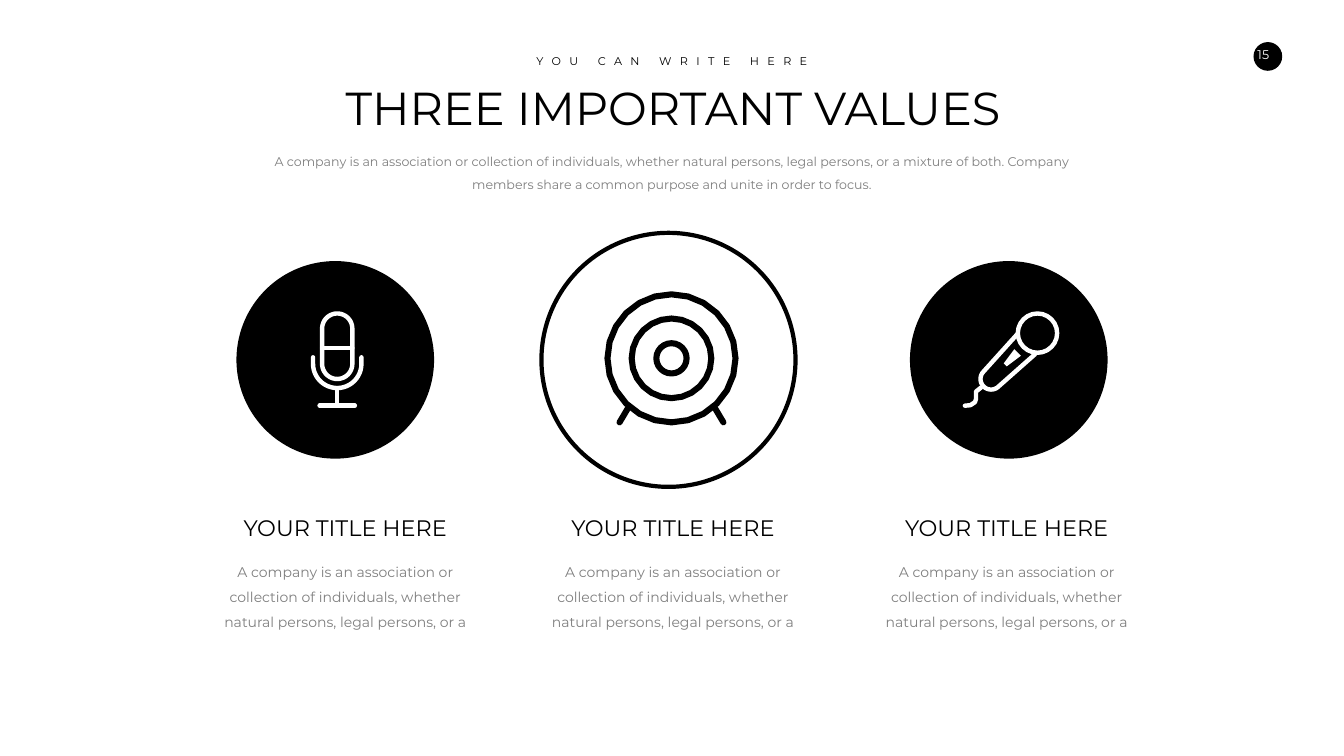
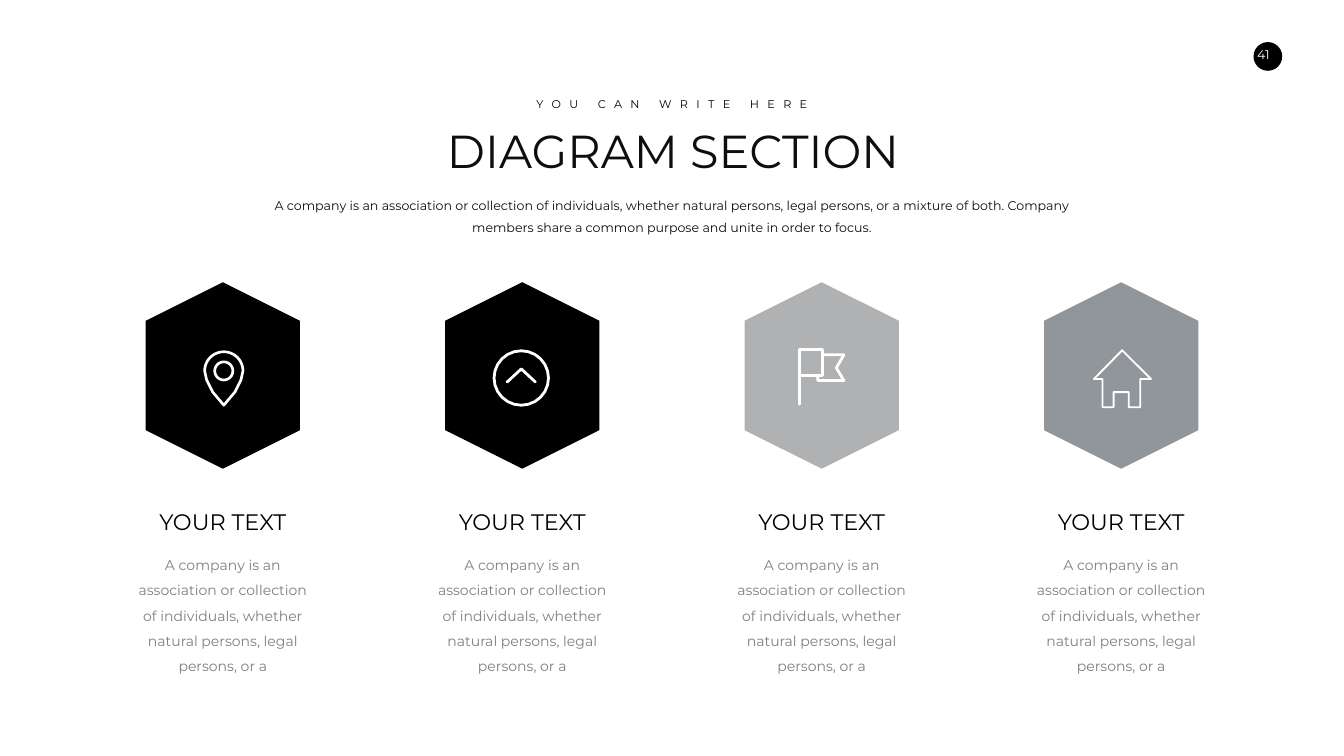
from math import cos, radians, sin

from lxml import etree
from pptx import Presentation
from pptx.dml.color import RGBColor
from pptx.enum.shapes import MSO_SHAPE
from pptx.enum.text import PP_ALIGN
from pptx.oxml.ns import qn
from pptx.util import Inches, Pt

OVAL, HEX = MSO_SHAPE.OVAL, MSO_SHAPE.HEXAGON
CENTER = PP_ALIGN.CENTER

# Slide grid: one column and one row are an inch each
COLS, ROWS = 26.66, 15
MID = COLS / 2
FONT = "Montserrat"
COLORS = {
    "black": "000000", "ink": "0E0E0E", "gray": "7F7F7F", "white": "FFFFFF",
    "silver": "B0B1B3", "steel": "91969B",
}
SHORT = ("A company is an association or collection of individuals, whether "
         "natural persons, legal persons, or a")
LONG = (SHORT + " mixture of both. Company members share a common purpose "
        "and unite in order to focus.")


def rgb(name):
    return RGBColor.from_string(COLORS[name])


def paint(shape, fill=None, line=None, width=0):
    shape.shadow.inherit = False
    if fill:
        shape.fill.solid()
        shape.fill.fore_color.rgb = rgb(fill)
    else:
        shape.fill.background()
    if line:
        shape.line.color.rgb = rgb(line)
        shape.line.width = Pt(width)
    else:
        shape.line.fill.background()


def add_text(slide, text, mid, top, wide, high, size, color,
             lead=None, track=0, inset=(0.1, 0.05)):
    """Text box centred on the column position mid."""
    box = slide.shapes.add_textbox(Inches(mid - wide / 2), Inches(top),
                                   Inches(wide), Inches(high))
    frame = box.text_frame
    frame.word_wrap = True
    frame.margin_left = frame.margin_right = Inches(inset[0])
    frame.margin_top = frame.margin_bottom = Inches(inset[1])
    para = frame.paragraphs[0]
    run = para.add_run()
    run.text = text
    para.alignment = CENTER
    if lead:
        para.line_spacing = lead
    para.font.name = FONT
    para.font.size = Pt(size)
    para.font.color.rgb = rgb(color)
    if track:
        run._r.get_or_add_rPr().set("spc", str(track * 100))


def add_form(slide, kind, mid, row, wide, high, **look):
    """Preset shape centred on (mid, row)."""
    shape = slide.shapes.add_shape(
        kind, Inches(mid - wide / 2), Inches(row - high / 2),
        Inches(wide), Inches(high))
    paint(shape, **look)
    return shape


def add_hex(slide, mid, row, fill):
    shape = add_form(slide, HEX, mid, row, 3.7, 3.06, fill=fill)
    shape.adjustments[0] = 0.25
    shape.adjustments[1] = 1.155
    shape.rotation = 270


# Icon outlines, measured from the icon's centre
def arc(x, y, r, start, end):
    steps = 24
    turns = [radians(start + (end - start) * i / steps)
             for i in range(steps + 1)]
    return [(x + r * cos(t), y + r * sin(t)) for t in turns]


def ring(r, x=0, y=0):
    return arc(x, y, r, 0, 360)


def loop(points):
    return points + points[:1]


MIC = [
    loop(arc(0, -0.61, 0.3, 180, 360) + arc(0, 0.09, 0.3, 0, 180)),
    [(-0.3, -0.22), (0.3, -0.22)],
    [(-0.48, -0.04)] + arc(0, 0.09, 0.48, 180, 0) + [(0.48, -0.04)],
    [(0, 0.57), (0, 0.92)],
    [(-0.35, 0.92), (0.35, 0.92)],
]
TARGET = [ring(1.27), ring(0.79), ring(0.3)] + [
    [(side * 0.87, 1), (side * 1.03, 1.27)] for side in (-1, 1)]
SINGER = [
    ring(0.39, 0.53, -0.52),
    [(0.13, -0.5)] + arc(-0.39, 0.39, 0.21, 225, 45) + [(0.48, -0.1)],
    [(-0.59, 0.56), (-0.69, 0.64), (-0.69, 0.79), (-0.71, 0.85),
     (-0.8, 0.91), (-0.91, 0.92)],
]
SWITCH = [loop([(-0.14, 0.08), (-0.08, 0.14), (0.2, -0.07), (0.07, -0.2)])]
PIN = [
    ring(0.18),
    loop(arc(0, 0, 0.38, 180, 360)
         + [(0.34, 0.18), (0.22, 0.42), (0, 0.68), (-0.22, 0.42),
            (-0.34, 0.18)]),
]
ARROW = [ring(0.54), [(-0.28, 0.08), (0, -0.18), (0.28, 0.08)]]
FLAG = [
    [(-0.44, 0.54), (-0.44, -0.54), (0.02, -0.54), (0.02, -0.03),
     (-0.44, -0.03)],
    [(0.02, -0.44), (0.44, -0.44), (0.29, -0.18), (0.44, 0.07),
     (-0.08, 0.07), (-0.08, -0.03)],
]
HOUSE = [loop([
    (0, -0.57), (-0.56, 0), (-0.39, 0), (-0.39, 0.56), (-0.17, 0.56),
    (-0.17, 0.26), (0.13, 0.26), (0.13, 0.56), (0.36, 0.56), (0.36, 0),
    (0.57, 0)])]


def add_icon(slide, strokes, mid, row, **look):
    """One freeform made of several strokes, with round ends."""
    pen = None
    for stroke in strokes:
        pts = [(Inches(mid + x), Inches(row + y)) for x, y in stroke]
        if pen is None:
            pen = slide.shapes.build_freeform(*pts[0])
        else:
            pen.move_to(*pts[0])
        pen.add_line_segments(pts[1:], close=stroke[0] == stroke[-1])
    shape = pen.convert_to_shape()
    paint(shape, **look)
    if look.get("line"):
        line = shape._element.spPr.find(qn("a:ln"))
        line.set("cap", "rnd")
        etree.SubElement(line, qn("a:round"))


# Parts that both slides share
def add_badge(slide, number):
    add_form(slide, OVAL, 25.15, 1.12, 0.57, 0.57, fill="black")
    add_text(slide, number, 25.06, 0.84, 0.86, 0.5, 18, "white",
             inset=(0.2, 0.1))


def add_head(slide, title, top, color, note):
    add_text(slide, "YOU CAN WRITE HERE", MID, top, 6.85, 0.37, 16, "black",
             track=12)
    add_text(slide, title, MID + 0.02, top + 0.5, 15.05, 1.21, 66, color)
    add_text(slide, LONG, MID, top + 1.84, 16.03, 1, 18, note, lead=1.5)


def add_label(slide, title, mid, top, wide, high):
    add_text(slide, title, mid, top, wide, 0.64, 32, "black")
    add_text(slide, SHORT, mid, top + 0.8, wide, high, 20, "gray", lead=1.5)


def values_slide(slide):
    add_badge(slide, "15")
    add_head(slide, "THREE IMPORTANT VALUES", 1.02, "black", "gray")
    row = 7.14
    add_form(slide, OVAL, 13.26, row, 5.04, 5.04, line="black", width=6)
    for mid in (6.65, 20.01):
        add_form(slide, OVAL, mid, row, 3.92, 3.92, fill="black")
    for mid in (6.85, 13.35, 19.97):
        add_label(slide, "YOUR TITLE HERE", mid, 10.16, 5.25, 1.62)
    add_icon(slide, MIC, 6.69, 7.13, line="white", width=6.3)
    add_icon(slide, SINGER, 20.05, 7.13, line="white", width=6.3)
    add_icon(slide, SWITCH, 20.05, 7.13, fill="white")
    add_icon(slide, TARGET, 13.32, 7.11, line="black", width=8.7)


def diagram_slide(slide):
    add_badge(slide, "41")
    add_head(slide, "DIAGRAM SECTION", 1.88, "ink", "ink")
    steps = [
        ("black", PIN, 0.02, 7.36, 3.8),
        ("black", ARROW, -0.02, 7.5, 4),
        ("silver", FLAG, 0, 7.48, 4),
        ("steel", HOUSE, 0.02, 7.52, 2.7),
    ]
    for i, (fill, icon, shift, row, width) in enumerate(steps):
        mid = 4.42 + 5.94 * i
        add_hex(slide, mid, 7.45, fill)
        add_icon(slide, icon, mid + shift, row, line="white", width=width)
        add_label(slide, "YOUR TEXT", mid, 10.03, 3.82, 2.63)


def main():
    deck = Presentation()
    deck.slide_width, deck.slide_height = Inches(COLS), Inches(ROWS)
    for build in (values_slide, diagram_slide):
        build(deck.slides.add_slide(deck.slide_layouts[6]))
    deck.save("out.pptx")


if __name__ == "__main__":
    main()
